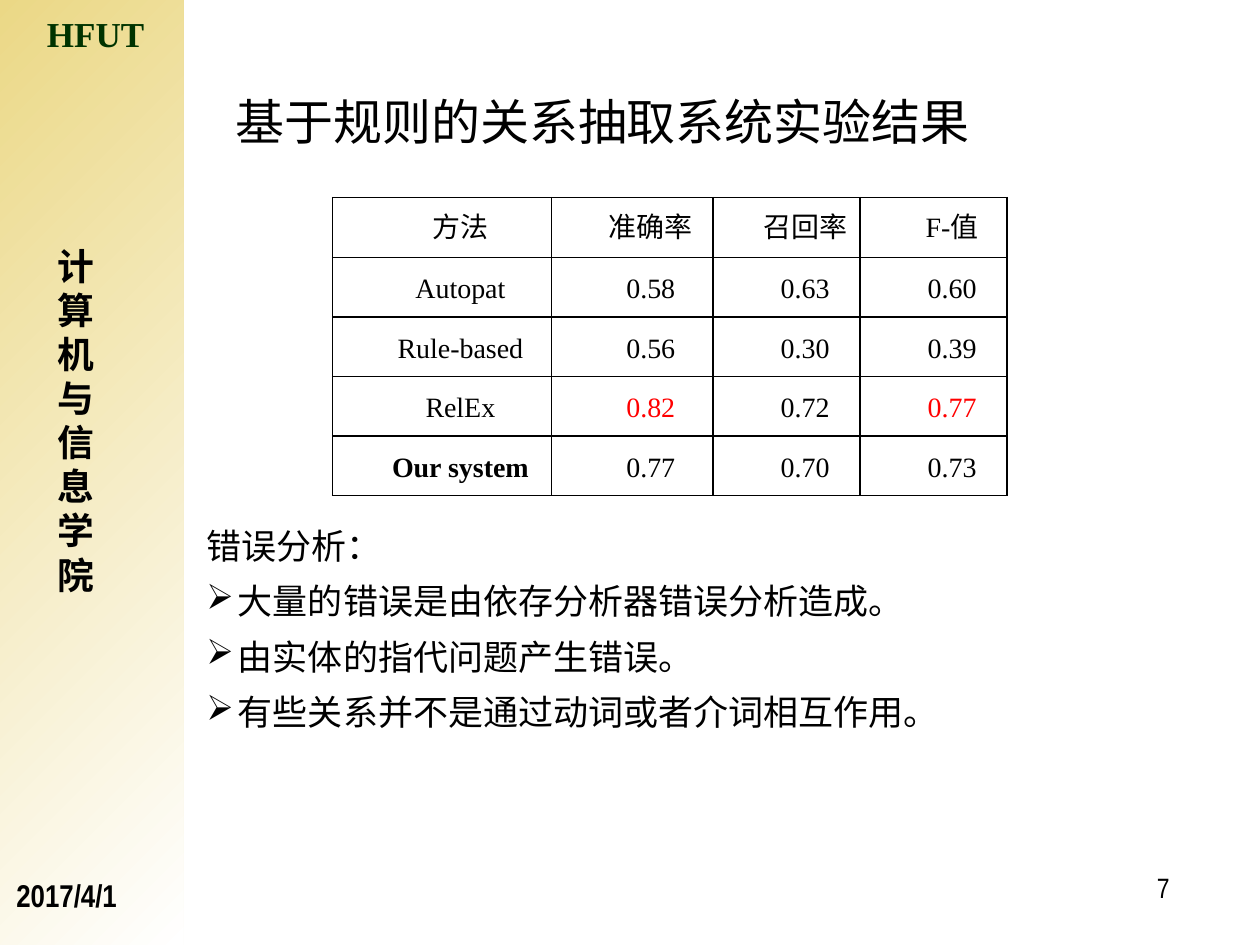
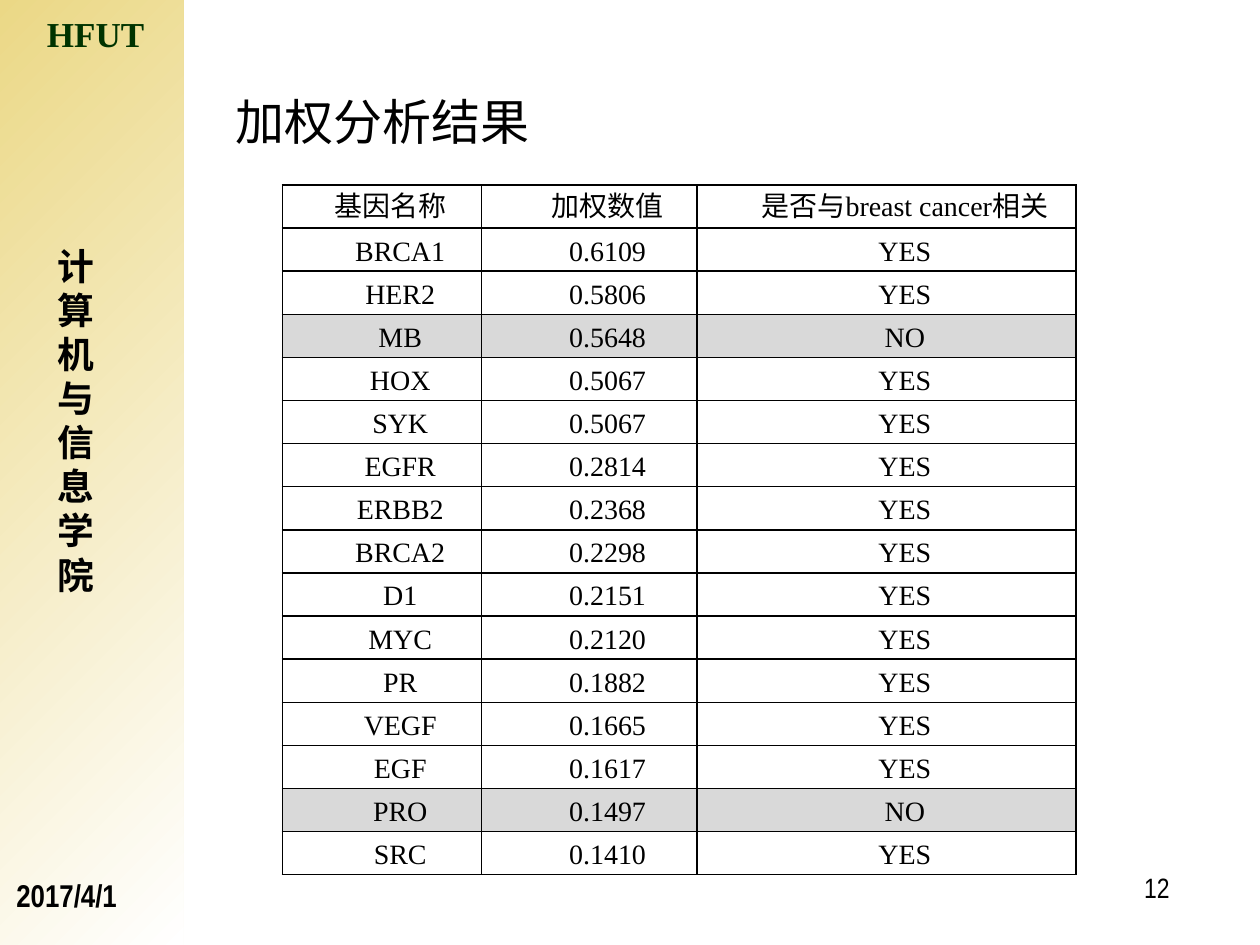
"""Build two slides of experiment results with a shared side band and footer."""
from lxml import etree
from pptx import Presentation
from pptx.dml.color import RGBColor
from pptx.enum.shapes import MSO_SHAPE
from pptx.enum.text import MSO_ANCHOR, MSO_AUTO_SIZE, PP_ALIGN
from pptx.oxml.ns import qn
from pptx.util import Pt

LEFT, CENTER, RIGHT = PP_ALIGN.LEFT, PP_ALIGN.CENTER, PP_ALIGN.RIGHT
MIDDLE, TOP = MSO_ANCHOR.MIDDLE, MSO_ANCHOR.TOP
RECTANGLE, NO_AUTOFIT = MSO_SHAPE.RECTANGLE, MSO_AUTO_SIZE.NONE
TITLE_ONLY = 5

BLACK, RED, GREEN, WHITE = "000000", "FF0000", "003300", "FFFFFF"
GOLD, GRAY = "EBD886", "D9D9D9"
SANS, SERIF, NARROW = "Noto Sans CJK SC", "Times New Roman", "Arial Narrow"

METHOD_SCORES = [
    ["方法", "准确率", "召回率", "F-值"],
    ["Autopat", "0.58", "0.63", "0.60"],
    ["Rule-based", "0.56", "0.30", "0.39"],
    ["RelEx", "0.82", "0.72", "0.77"],
    ["Our system", "0.77", "0.70", "0.73"],
]
BEST_SCORES = {(3, 1), (3, 3)}
ERROR_CAUSES = [
    "大量的错误是由依存分析器错误分析造成。",
    "由实体的指代问题产生错误。",
    "有些关系并不是通过动词或者介词相互作用。",
]
GENE_WEIGHTS = [
    ("BRCA1", "0.6109"), ("HER2", "0.5806"), ("MB", "0.5648"),
    ("HOX", "0.5067"), ("SYK", "0.5067"), ("EGFR", "0.2814"),
    ("ERBB2", "0.2368"), ("BRCA2", "0.2298"), ("D1", "0.2151"),
    ("MYC", "0.2120"), ("PR", "0.1882"), ("VEGF", "0.1665"),
    ("EGF", "0.1617"), ("PRO", "0.1497"), ("SRC", "0.1410"),
]
UNRELATED_GENES = {"MB", "PRO"}


def rgb(color):
    return RGBColor.from_string(color)


class Deck:
    def __init__(self):
        self.prs = Presentation()
        self.prs.slide_width, self.prs.slide_height = Pt(720), Pt(540)
        self.slide = None

    def style(self, paragraph, size, font, color=BLACK, bold=False, align=LEFT):
        paragraph.alignment = align
        for run in paragraph.runs:
            run.font.size, run.font.name, run.font.bold = Pt(size), font, bold
            run.font.color.rgb = rgb(color)
            east_asian = etree.SubElement(run.font._element, qn("a:ea"))
            east_asian.set("typeface", SANS)

    def indent(self, paragraph, first_line, margin=0):
        properties = paragraph._p.get_or_add_pPr()
        properties.set("marL", str(Pt(margin)))
        properties.set("indent", str(Pt(first_line)))
        return properties

    def text_box(self, left, top, width, height, margin_left=7.2, margin_top=3.6):
        frame = self.slide.shapes.add_textbox(
            Pt(left), Pt(top), Pt(width), Pt(height)).text_frame
        frame.word_wrap = True
        frame.vertical_anchor = TOP
        frame.margin_left, frame.margin_top = Pt(margin_left), Pt(margin_top)
        return frame

    def label(self, text, box, size, font, color=BLACK, bold=False,
              align=LEFT, line=None, **margins):
        frame = self.text_box(*box, **margins)
        frame.text = text
        paragraph = frame.paragraphs[0]
        self.style(paragraph, size, font, color, bold, align)
        if line:
            paragraph.line_spacing = Pt(line)

    def band(self):
        band = self.slide.shapes.add_shape(
            RECTANGLE, Pt(0), Pt(0), Pt(105), self.prs.slide_height)
        band.shadow.inherit = False
        band.line.fill.background()
        band.fill.gradient()
        band.fill.gradient_angle = 315
        for stop, color in zip(band.fill.gradient_stops, (GOLD, WHITE)):
            stop.color.rgb = rgb(color)

    def title(self, text):
        title = self.slide.shapes.title
        title.left, title.top = Pt(127.4), Pt(37.4)
        title.width, title.height = Pt(592.6), Pt(67.7)
        frame = title.text_frame
        frame.text = text
        frame.auto_size, frame.vertical_anchor = NO_AUTOFIT, MIDDLE
        frame.paragraphs[0].line_spacing = 0.9
        self.style(frame.paragraphs[0], 28, SANS)

    def start_slide(self, title, number):
        layout = self.prs.slide_layouts[TITLE_ONLY]
        self.slide = self.prs.slides.add_slide(layout)
        self.band()
        self.title(title)
        self.label("HFUT", (5.8, 3.6, 110, 30), 20, SERIF, GREEN, True, margin_left=21)
        self.label("2017/4/1", (2.9, 496.8, 95.8, 36), 18, NARROW, bold=True,
                   margin_left=6.5)
        self.label(str(number), (513.4, 493.9, 162, 36), 16, NARROW, align=RIGHT)
        self.label("计算机与信息学院", (25.9, 133.2, 28.1, 208.8), 21, SERIF,
                   bold=True, align=CENTER, line=25.2, margin_top=6)

    def bullets(self, heading, items, box):
        frame = self.text_box(*box)
        frame.text = "\n".join([heading, *items])
        for index, paragraph in enumerate(frame.paragraphs):
            paragraph.line_spacing = Pt(24)
            properties = self.indent(paragraph, -18, 18)
            if index:
                paragraph.space_before = Pt(7.7)
                etree.SubElement(properties, qn("a:buChar")).set("char", "➢")
            self.style(paragraph, 20, SANS)

    def borders(self, cell):
        properties = cell._tc.get_or_add_tcPr()
        for position, side in enumerate(("lnL", "lnR", "lnT", "lnB")):
            line = etree.Element(qn(f"a:{side}"), w=str(Pt(1)))
            fill = etree.SubElement(line, qn("a:solidFill"))
            etree.SubElement(fill, qn("a:srgbClr"), val=BLACK)
            properties.insert(position, line)

    def cell(self, cell, text, fill=None, color=BLACK, bold=False, first_line=21):
        cell.text = text
        cell.vertical_anchor = MIDDLE
        cell.margin_left = cell.margin_right = Pt(5)
        cell.margin_top = cell.margin_bottom = Pt(0)
        if fill:
            cell.fill.solid()
            cell.fill.fore_color.rgb = rgb(fill)
        else:
            cell.fill.background()
        self.borders(cell)
        paragraph = cell.text_frame.paragraphs[0]
        paragraph.line_spacing = Pt(20)
        self.indent(paragraph, first_line)
        self.style(paragraph, 16, SERIF, color, bold, CENTER)

    def table(self, rows, left, top, widths, row_height, cell_format):
        table = self.slide.shapes.add_table(
            len(rows), len(widths), Pt(left), Pt(top),
            Pt(sum(widths)), Pt(row_height * len(rows))).table
        table.first_row = table.horz_banding = False
        for column, width in zip(table.columns, widths):
            column.width = Pt(width)
        for r, values in enumerate(rows):
            table.rows[r].height = Pt(row_height)
            for c, value in enumerate(values):
                self.cell(table.cell(r, c), value, **cell_format(r, c, values))


def score_format(row, column, values):
    return {"color": RED if (row, column) in BEST_SCORES else BLACK,
            "bold": values[column] == "Our system"}


def gene_format(row, column, values):
    return {"fill": GRAY if values[0] in UNRELATED_GENES else None,
            "first_line": 10 if (row, column) == (0, 0) else 21}


def main():
    deck = Deck()

    deck.start_slide("基于规则的关系抽取系统实验结果", 7)
    deck.bullets("错误分析：", ERROR_CAUSES, (110.9, 296, 601, 170))
    deck.table(METHOD_SCORES, 190, 113, [125.2, 92.4, 84, 84], 34.05, score_format)

    deck.start_slide("加权分析结果", 12)
    gene_rows = [("基因名称", "加权数值", "是否与breast cancer相关")]
    gene_rows += [(gene, weight, "NO" if gene in UNRELATED_GENES else "YES")
                  for gene, weight in GENE_WEIGHTS]
    deck.table(gene_rows, 161.3, 105.7, [113.8, 123.2, 216.6], 24.64, gene_format)

    deck.prs.save("out.pptx")


if __name__ == "__main__":
    main()
